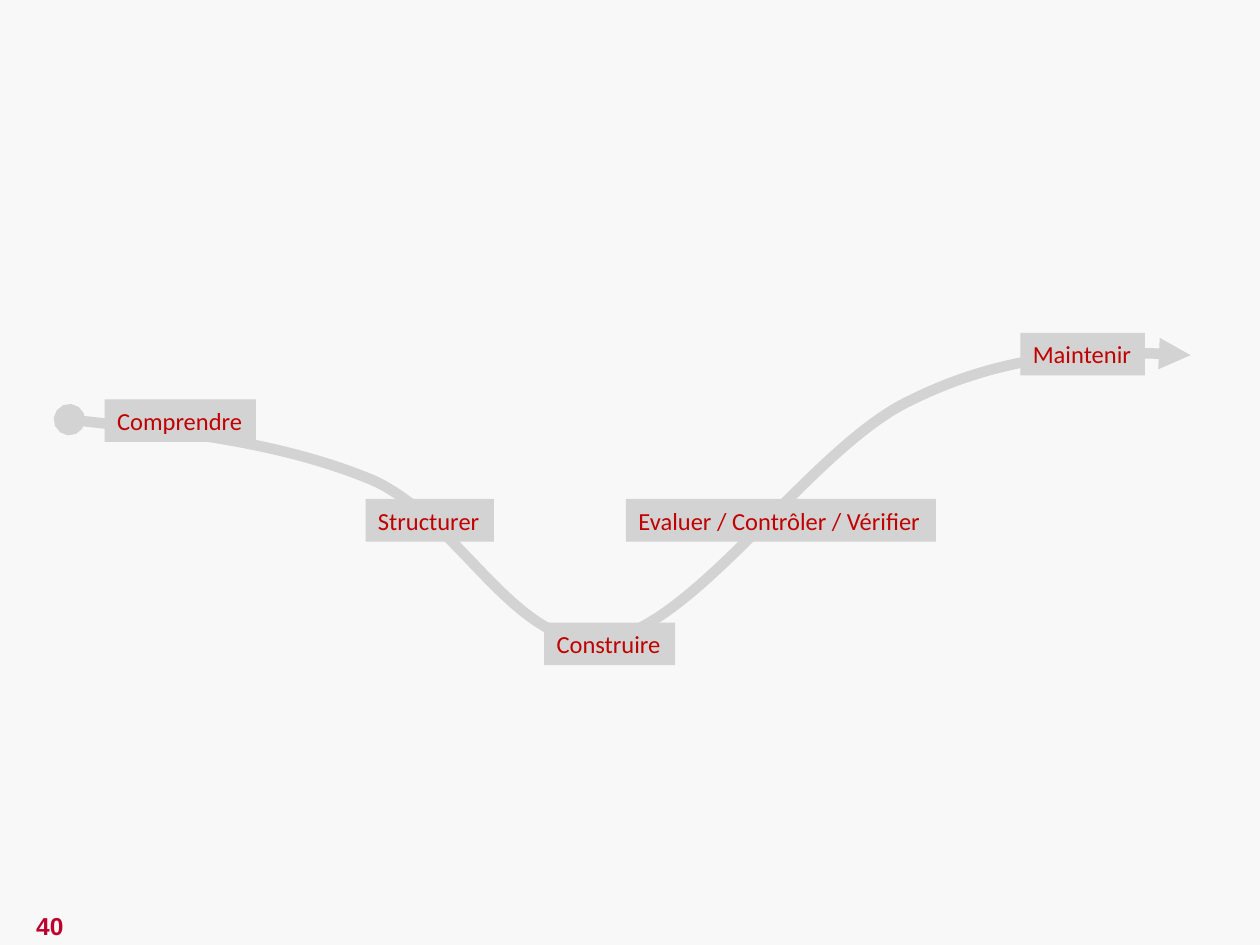
import pptx
import pptx.util
import pptx.dml.color
import pptx.enum.shapes
import pptx.enum.text
import pptx.oxml
import pptx.oxml.ns

Cm = pptx.util.Cm
Pt = pptx.util.Pt
HUES = {"back": "F8F8F8", "path": "D3D3D3", "step": "C00000", "page": "BC002B"}
START = (0, 1.32)
CURVES = [
    [(2.13, 1.55), (4.24, 1.78), (6.04, 2.51)],
    [(7.85, 3.25), (8.99, 6.02), (10.79, 5.76)],
    [(12.62, 5.51), (14.96, 1.88), (16.94, 0.94)],
    [(18.89, -0.03), (21.21, -0.08), (22.6, 0.02)],
]
STEPS = [
    ("Comprendre", 0.71, 0.91, 3.05),
    ("Structurer", 5.97, 2.92, 2.59),
    ("Construire", 9.57, 5.41, 2.64),
    ("Evaluer / Contrôler / Vérifier", 11.22, 2.92, 6.25),
    ("Maintenir", 19.17, -0.43, 2.51),
]


def hue(name):
    """Return the named colour."""
    return pptx.dml.color.RGBColor.from_string(HUES[name])


def node(parent, tag, **attrs):
    """Append a drawing element to its parent."""
    child = pptx.oxml.parse_xml(
        f'<a:{tag} xmlns:a="{pptx.oxml.ns.nsuri("a")}"/>')
    for key, value in attrs.items():
        child.set(key, str(value))
    parent.append(child)
    return child


def write(frame, text, face, tone, align, bold=False):
    """Write one formatted run into a text frame."""
    frame.vertical_anchor = pptx.enum.text.MSO_ANCHOR.MIDDLE
    para = frame.paragraphs[0]
    para.alignment = align
    run = para.add_run()
    run.text = text
    run.font.name = face
    run.font.size = Pt(14)
    run.font.bold = bold
    run.font.color.rgb = hue(tone)


def draw_path(slide, left, top):
    """Draw the smooth arrow from its anchor points and handles."""
    def spot(point):
        return Cm(left + point[0]), Cm(top + point[1])

    form = slide.shapes.build_freeform(*spot(START))
    form.add_line_segments([spot(curve[-1]) for curve in CURVES], close=False)
    shape = form.convert_to_shape()
    shape.shadow.inherit = False
    shape.fill.background()
    shape.line.color.rgb = hue("path")
    shape.line.width = Pt(6)
    track = shape.element.find(".//" + pptx.oxml.ns.qn("a:path"))
    for part in track.findall(pptx.oxml.ns.qn("a:lnTo")):
        track.remove(part)
    for curve in CURVES:
        bend = node(track, "cubicBezTo")
        for x, y in map(spot, curve):
            node(bend, "pt", x=x - shape.left, y=y - shape.top)
    edge = shape.element.find(".//" + pptx.oxml.ns.qn("a:ln"))
    node(edge, "headEnd", type="oval")
    node(edge, "tailEnd", type="triangle")


def draw_steps(slide, left, top):
    """Place the step labels along the arrow."""
    for text, x, y, width in STEPS:
        shape = slide.shapes.add_shape(
            pptx.enum.shapes.MSO_SHAPE.RECTANGLE,
            Cm(left + x), Cm(top + y), Cm(width), Cm(0.86))
        shape.shadow.inherit = False
        shape.fill.solid()
        shape.fill.fore_color.rgb = hue("path")
        shape.line.fill.background()
        frame = shape.text_frame
        frame.word_wrap = False
        frame.auto_size = pptx.enum.text.MSO_AUTO_SIZE.SHAPE_TO_FIT_TEXT
        write(frame, text, "Calibri", "step", pptx.enum.text.PP_ALIGN.LEFT)


def draw_page(slide, left, top, width, height):
    """Place the page number."""
    box = slide.shapes.add_textbox(Cm(left), Cm(top), Cm(width), Cm(height))
    box.text_frame.word_wrap = True
    write(box.text_frame, "40", "Arial", "page",
          pptx.enum.text.PP_ALIGN.CENTER, bold=True)


def main():
    """Build and save the slide."""
    deck = pptx.Presentation()
    deck.slide_width, deck.slide_height = Cm(25.4), Cm(19.05)
    slide = deck.slides.add_slide(deck.slide_layouts[6])
    slide.background.fill.solid()
    slide.background.fill.fore_color.rgb = hue("back")
    draw_page(slide, -0.05, 18.24, 2.11, 0.86)
    draw_path(slide, 1.4, 7.14)
    draw_steps(slide, 1.4, 7.14)
    deck.save("out.pptx")


if __name__ == "__main__":
    main()
